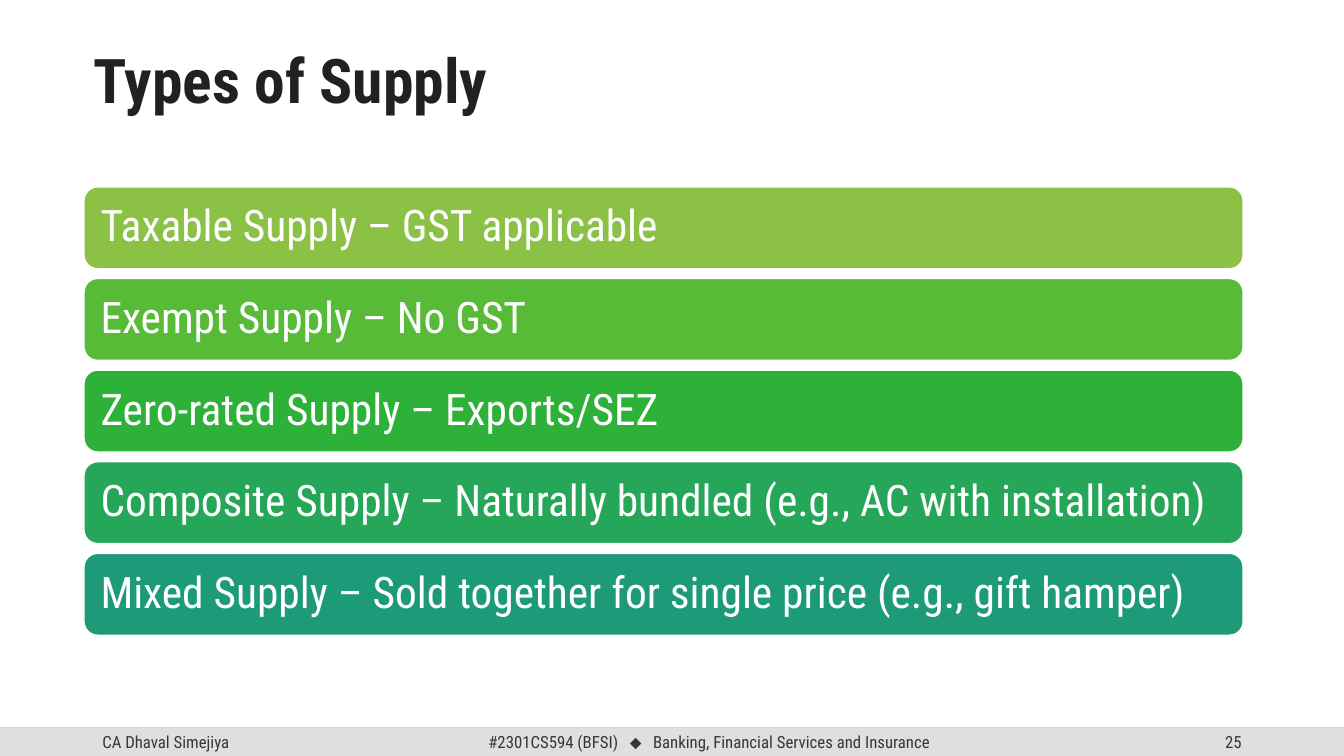
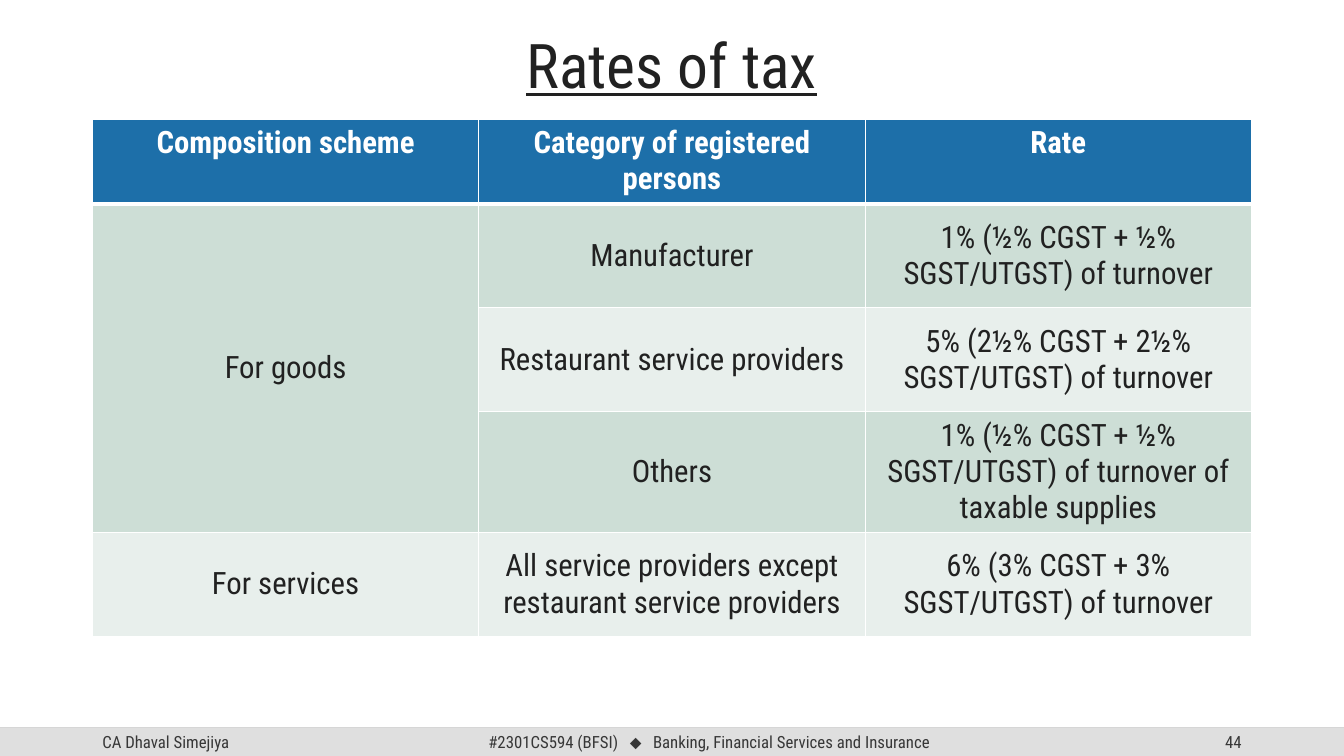
from pptx import Presentation
from pptx import util as u
from pptx.dml import color
from pptx.enum import shapes, text
from pptx.oxml import parse_xml
from pptx.oxml import ns

PX = 9525
WIDTH, HEIGHT = 1280, 720
FONT = "Roboto Condensed"
SYMBOL_FONT = "Arial"
WHITE, INK, FOOTER_INK = "FFFFFF", "212121", "373737"
FOOTER_FILL, FOOTER_RULE = "DFDFDF", "D2D2D2"
HEADER_FILL = "1D6FA9"
BAND_FILLS = ["CDDED6", "E8EFEC"]
LEFT, CENTER, RIGHT = (text.PP_ALIGN.LEFT, text.PP_ALIGN.CENTER,
                       text.PP_ALIGN.RIGHT)
MIDDLE, TOP = text.MSO_ANCHOR.MIDDLE, text.MSO_ANCHOR.TOP

TITLE = {"size": u.Pt(44), "color": INK}
FOOTER = {"size": u.Pt(12), "color": FOOTER_INK}
BAR = {"size": u.Pt(31), "color": WHITE}
HEADER = {"size": u.Pt(22), "color": WHITE, "bold": True}
BODY = {"size": u.Pt(22), "color": INK, "bold": False}

SUPPLIES = [
    ("Taxable Supply – GST applicable", "8BC145"),
    ("Exempt Supply – No GST", "57BB37"),
    ("Zero-rated Supply – Exports/SEZ", "2DB138"),
    ("Composite Supply – Naturally bundled (e.g., AC with installation)",
     "25A659"),
    ("Mixed Supply – Sold together for single price (e.g., gift hamper)",
     "1D9A78"),
]
RATES = [
    ["Composition scheme", "Category of registered persons", "Rate"],
    ["For goods", "Manufacturer", "1% (½% CGST + ½% SGST/UTGST) of turnover"],
    ["", "Restaurant service providers",
     "5% (2½% CGST + 2½% SGST/UTGST) of turnover"],
    ["", "Others",
     "1% (½% CGST + ½% SGST/UTGST) of turnover of taxable supplies"],
    ["For services",
     "All service providers except restaurant service providers",
     "6% (3% CGST + 3% SGST/UTGST) of turnover"],
]
RATE_HEIGHTS = [78, 99, 99, 113, 99]


def px(*lengths):
    return [u.Emu(round(length * PX)) for length in lengths]


def rgb(value):
    return color.RGBColor.from_string(value)


def set_attributes(target, values):
    for name, value in values.items():
        setattr(target, name, value)


def add_run(paragraph, wording, style, font=FONT):
    run = paragraph.add_run()
    run.text = wording
    values = {"name": font, **style}
    run.font.color.rgb = rgb(values.pop("color"))
    set_attributes(run.font, values)
    return run


def add_text(slide, box, wording, style, align=LEFT, spacing=1.0):
    shape = slide.shapes.add_textbox(*px(*box))
    set_attributes(shape.text_frame,
                   {"word_wrap": True, "vertical_anchor": MIDDLE})
    paragraph = shape.text_frame.paragraphs[0]
    set_attributes(paragraph, {"alignment": align, "line_spacing": spacing})
    if wording:
        add_run(paragraph, wording, style)
    return paragraph


def add_panel(slide, kind, box, fill, line=None):
    shape = slide.shapes.add_shape(kind, *px(*box))
    shape.shadow.inherit = False
    shape.fill.solid()
    shape.fill.fore_color.rgb = rgb(fill)
    if line:
        shape.line.color.rgb = rgb(line)
        shape.line.width = u.Pt(1)
    else:
        shape.line.fill.background()
    return shape


def add_title(slide, box, wording, align=LEFT, **emphasis):
    add_text(slide, box, wording, {**TITLE, **emphasis}, align, 0.9)


def add_footer(slide, box, number):
    left, top, width, height = box
    rule = slide.shapes.add_connector(
        shapes.MSO_CONNECTOR.STRAIGHT, *px(left, top, left + width, top))
    rule.line.color.rgb = rgb(FOOTER_RULE)
    rule.line.width = u.Pt(1)
    rule._element.spPr.append(
        parse_xml(f"<a:effectLst {ns.nsdecls('a')}/>"))
    add_panel(slide, shapes.MSO_SHAPE.RECTANGLE, box, FOOTER_FILL)
    add_text(slide, (left + 88, top, 288, height), "CA Dhaval Simejiya", FOOTER)
    course = add_text(slide, (left + 424, top, 503, height), "", FOOTER, CENTER)
    for wording, font in [("#2301CS594 (BFSI)", FONT), (" ", FONT),
                          ("⬥", SYMBOL_FONT), (" ", FONT),
                          ("Banking, Financial Services and Insurance", FONT)]:
        run = add_run(course, wording, FOOTER, font)
        if wording == " ":
            run.font._element.set("spc", "540")
    add_text(slide, (left + width - 376, top, 288, height), str(number),
             FOOTER, RIGHT)


def add_bars(slide, box, supplies, bar_height=78):
    left, top, width, height = box
    step = (height - bar_height) / (len(supplies) - 1)
    for index, (wording, fill) in enumerate(supplies):
        bar = add_panel(slide, shapes.MSO_SHAPE.ROUNDED_RECTANGLE,
                        (left, top + index * step, width, bar_height),
                        fill, WHITE)
        margin = px(12)[0]
        set_attributes(bar.text_frame, {
            "word_wrap": True, "vertical_anchor": MIDDLE,
            "margin_left": margin, "margin_right": margin,
            "margin_top": margin, "margin_bottom": margin})
        paragraph = bar.text_frame.paragraphs[0]
        set_attributes(paragraph, {"alignment": LEFT, "line_spacing": 0.9})
        add_run(paragraph, wording, BAR)


def set_borders(cell, widths):
    properties = cell._tc.get_or_add_tcPr()
    for side, points in widths.items():
        properties.append(parse_xml(
            f'<a:ln{side} {ns.nsdecls("a")} w="{u.Pt(points)}"><a:solidFill>'
            f'<a:srgbClr val="{WHITE}"/></a:solidFill></a:ln{side}>'))


def add_rates(slide, box, rows, heights):
    table = slide.shapes.add_table(len(rows), len(rows[0]), *px(*box)).table
    set_attributes(table, {"first_row": False, "horz_banding": False})
    for column in table.columns:
        column.width = px(box[2] / len(rows[0]))[0]
    for row_index, wordings in enumerate(rows):
        is_header = row_index == 0
        table.rows[row_index].height = px(heights[row_index])[0]
        for column_index, wording in enumerate(wordings):
            cell = table.cell(row_index, column_index)
            set_borders(cell, {"L": 1, "R": 1,
                               "T": 3 if row_index == 1 else 1,
                               "B": 3 if is_header else 1})
            band = row_index - 1 if wording else 0
            cell.fill.solid()
            cell.fill.fore_color.rgb = rgb(
                HEADER_FILL if is_header else BAND_FILLS[band % 2])
            cell.vertical_anchor = TOP if is_header else MIDDLE
            paragraph = cell.text_frame.paragraphs[0]
            paragraph.alignment = CENTER
            if wording:
                add_run(paragraph, wording, HEADER if is_header else BODY)
    table.cell(1, 0).merge(table.cell(3, 0))


def add_slide(presentation, number):
    slide = presentation.slides.add_slide(presentation.slide_layouts[6])
    add_footer(slide, (0, 693, WIDTH, 27), number)
    return slide


def build_supply_slide(presentation):
    slide = add_slide(presentation, 25)
    add_title(slide, (80, 10, 1104, 139), "Types of Supply", bold=True)
    add_bars(slide, (80, 178, 1104, 427), SUPPLIES)


def build_rates_slide(presentation):
    slide = add_slide(presentation, 44)
    add_title(slide, (88, 17, 1104, 97), "Rates of tax", CENTER, underline=True)
    add_rates(slide, (88, 114, 1104, sum(RATE_HEIGHTS)), RATES, RATE_HEIGHTS)


def main():
    presentation = Presentation()
    presentation.slide_width, presentation.slide_height = px(WIDTH, HEIGHT)
    build_supply_slide(presentation)
    build_rates_slide(presentation)
    presentation.save("out.pptx")


if __name__ == "__main__":
    main()
